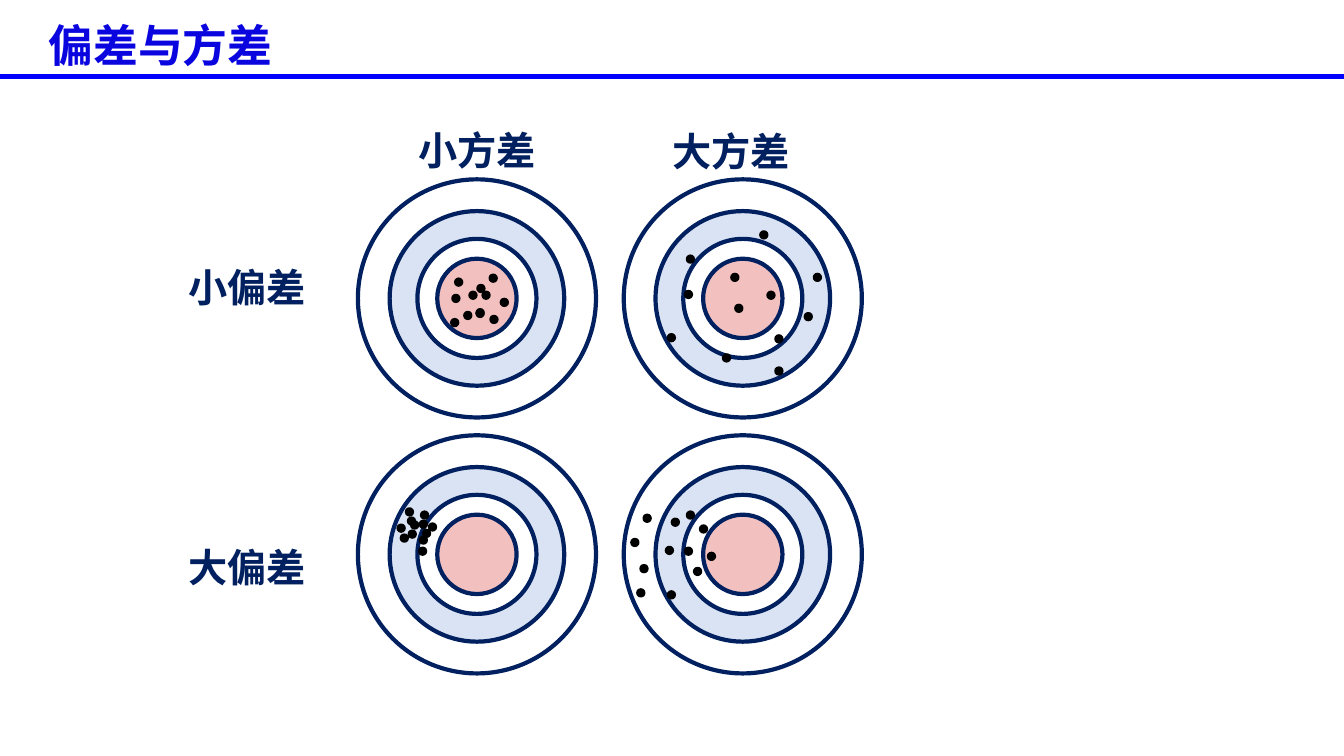
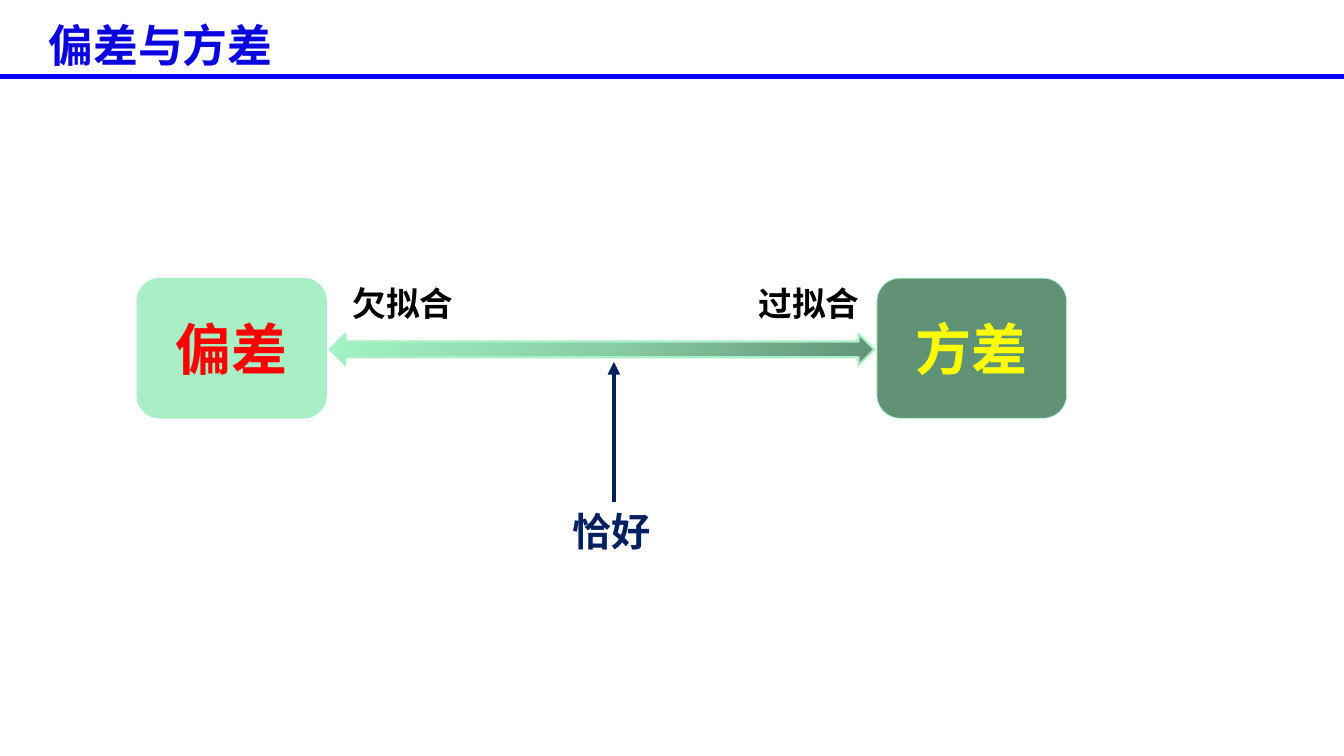
from dataclasses import dataclass

from lxml.etree import SubElement
from pptx import Presentation
from pptx.dml.color import RGBColor
from pptx.enum.shapes import MSO_CONNECTOR as Connector, MSO_SHAPE as Shape
from pptx.enum.text import MSO_ANCHOR as Anchor, MSO_AUTO_SIZE as AutoSize, PP_ALIGN as Align
from pptx.oxml import parse_xml
from pptx.oxml.ns import nsdecls, qn
from pptx.util import Cm, Pt


@dataclass(frozen=True)
class Theme:
    title: str = "0A05DF"
    rule: str = "0000FF"
    navy: str = "002060"
    black: str = "000000"
    white: str = "FFFFFF"
    ring: str = "DAE3F3"
    bullseye: str = "F3C0C0"
    mint: str = "A8EFC6"
    forest: str = "609376"
    red: str = "FF0000"
    yellow: str = "FFFF00"
    gradient: tuple = ((0, "609175"), (50, "89CEA6"), (100, "A3F4C5"))
    latin: str = "Calibri"
    chinese: str = "Noto Sans CJK SC"
    title_size: int = 32
    label_size: int = 28
    note_size: int = 24
    box_size: int = 40


THEME = Theme()
WIDTH, HEIGHT = 33.87, 19.05
DOT = 0.2

# Offsets of the hits from the centre of each target, in centimetres
TIGHT_CENTRED = [
    (-0.46, -0.41), (-0.1, -0.08), (-0.53, 0), (0.23, -0.08), (0.43, 0.53), (0.41, -0.51),
    (-0.23, 0.43), (0.69, 0.1), (0.08, 0.38), (0.1, -0.25), (-0.56, 0.61), (0.08, 0.36),
]
SPREAD_CENTRED = [
    (-0.2, -0.53), (0.53, -1.6), (0.91, 1.02), (-1.8, 0.99), (0.71, -0.08), (-1.32, -0.99),
    (-0.41, 1.5), (1.88, -0.53), (-0.1, 0.25), (0.91, 1.83), (1.65, 0.46), (-1.37, -0.1),
]
TIGHT_OFF = [
    (-1.7, -1.07), (-1.65, -0.84), (-1.83, -0.41), (-1.63, -0.51), (-1.12, -0.69), (-1.32, -0.99),
    (-1.27, -0.53), (-1.35, -0.76), (-1.91, -0.66), (-1.57, -0.74), (-1.35, -0.36), (-1.37, -0.08),
]
SPREAD_OFF = [
    (-1.7, -0.81), (-2.72, -0.3), (-1.14, 0.43), (-1.8, 1.02), (-2.57, 0.97), (-1.32, -0.99),
    (-2.41, -0.91), (-2.49, 0.36), (-0.79, 0.05), (-0.99, -0.64), (-1.85, -0.1), (-1.37, -0.08),
]


class SlideBuilder:
    def __init__(self, deck, theme):
        self.deck, self.theme = deck, theme
        self.page = None

    def start(self, title):
        """Add a page with the shared title style and the rule below it."""
        self.page = self.deck.slides.add_slide(self.deck.slide_layouts[5])
        box = self.page.shapes.title
        box.left, box.top, box.width, box.height = Cm(0.97), Cm(0.3), Cm(21.16), Cm(1.63)
        self.set_text(box, title, self.theme.title_size, self.theme.title)
        self.line((0, 1.93), (WIDTH, 1.93), self.theme.rule, 4)

    def set_text(self, box, text, size, color, font=None, align=Align.LEFT):
        frame = box.text_frame
        frame.auto_size = AutoSize.NONE
        frame.word_wrap = True
        frame.vertical_anchor = Anchor.MIDDLE
        para = frame.paragraphs[0]
        para.text = text
        para.alignment = align
        para.font.name = font or self.theme.latin
        para.font.size = Pt(size)
        para.font.bold = True
        para.font.color.rgb = RGBColor.from_string(color)
        defaults = para._p.get_or_add_pPr().find(qn("a:defRPr"))
        SubElement(defaults, qn("a:ea")).set("typeface", self.theme.chinese)

    def label(self, text, left, top, width, height, size, color, font=None):
        box = self.page.shapes.add_textbox(Cm(left), Cm(top), Cm(width), Cm(height))
        self.set_text(box, text, size, color, font)
        return box

    def shape(self, kind, left, top, width, height, fill, line, weight, parent=None):
        shapes = (parent or self.page).shapes
        shape = shapes.add_shape(kind, Cm(left), Cm(top), Cm(width), Cm(height))
        shape.shadow.inherit = False
        if fill:
            shape.fill.solid()
            shape.fill.fore_color.rgb = RGBColor.from_string(fill)
        else:
            shape.fill.background()
        shape.line.color.rgb = RGBColor.from_string(line)
        shape.line.width = Pt(weight)
        return shape

    def box(self, text, left, fill, color):
        shape = self.shape(Shape.ROUNDED_RECTANGLE, left, 7.01, 4.78, 3.53, fill, self.theme.mint, 0.5)
        self.set_text(shape, text, self.theme.box_size, color, self.theme.chinese, Align.CENTER)

    def target(self, x, y, hits):
        """Draw concentric rings around (x, y) with a dot for each hit."""
        theme = self.theme
        group = self.page.shapes.add_group_shape()

        def disc(kind, x, y, size, fill, line, weight):
            self.shape(kind, x - size / 2, y - size / 2, size, size, fill, line, weight, group)

        for size, fill in ((6, None), (4.4, theme.ring), (3, theme.white), (2, theme.bullseye)):
            disc(Shape.OVAL, x, y, size, fill, theme.navy, 3)
        for dx, dy in hits:
            disc(Shape.FLOWCHART_CONNECTOR, x + dx, y + dy, DOT, theme.black, theme.black, 1)

    def gradient_arrow(self, left, top, width, height):
        """Draw a double arrow whose colour radiates from its lower right corner."""
        arrow = self.shape(Shape.LEFT_RIGHT_ARROW, left, top, width, height, None, self.theme.mint, 1.5)
        stops = "".join(
            f'<a:gs pos="{pos * 1000}"><a:srgbClr val="{color}"/></a:gs>'
            for pos, color in self.theme.gradient
        )
        properties = arrow._element.spPr
        properties.replace(properties.find(qn("a:noFill")), parse_xml(
            f'<a:gradFill {nsdecls("a")}><a:gsLst>{stops}</a:gsLst>'
            '<a:path path="circle"><a:fillToRect l="100000" t="100000"/></a:path>'
            '<a:tileRect r="-100000" b="-100000"/></a:gradFill>'))

    def line(self, start, end, color, weight, arrow=False):
        line = self.page.shapes.add_connector(Connector.STRAIGHT, *(Cm(v) for v in (*start, *end)))
        line.line.color.rgb = RGBColor.from_string(color)
        line.line.width = Pt(weight)
        if arrow:
            SubElement(line.line._get_or_add_ln(), qn("a:tailEnd")).set("type", "triangle")
        SubElement(line._element.spPr, qn("a:effectLst"))
        return line


def add_targets(builder):
    theme = builder.theme
    builder.start("偏差与方差")
    grid = ((TIGHT_CENTRED, SPREAD_CENTRED), (TIGHT_OFF, SPREAD_OFF))
    for row, targets in enumerate(grid):
        for column, hits in enumerate(targets):
            builder.target(12.02 + 6.7 * column, 7.52 + 6.45 * row, hits)
    labels = (("小方差", 10.29, 3.05), ("大方差", 16.69, 3.07),
              ("小偏差", 4.5, 6.5), ("大偏差", 4.5, 13.56))
    for text, left, top in labels:
        builder.label(text, left, top, 3.53, 1.45, theme.label_size, theme.navy, theme.chinese)


def add_tradeoff(builder):
    theme = builder.theme
    builder.start("偏差与方差")
    builder.box("偏差", 3.45, theme.mint, theme.red)
    builder.box("方差", 22.1, theme.forest, theme.yellow)
    builder.gradient_arrow(8.31, 8.41, 13.72, 0.79)
    for text, left in (("欠拟合", 8.64), ("过拟合", 18.87)):
        builder.label(text, left, 7.01, 5.54, 1.27, theme.note_size, theme.black)
    balance = builder.label("恰好", 14.17, 12.65, 2.6, 1.45, theme.label_size, theme.navy)
    pointer = builder.line((15.47, 12.65), (15.47, 9.12), theme.navy, 3, arrow=True)
    pointer.begin_connect(balance, 0)


def main():
    deck = Presentation()
    deck.slide_width, deck.slide_height = Cm(WIDTH), Cm(HEIGHT)
    builder = SlideBuilder(deck, THEME)
    add_targets(builder)
    add_tradeoff(builder)
    deck.save("out.pptx")


if __name__ == "__main__":
    main()
